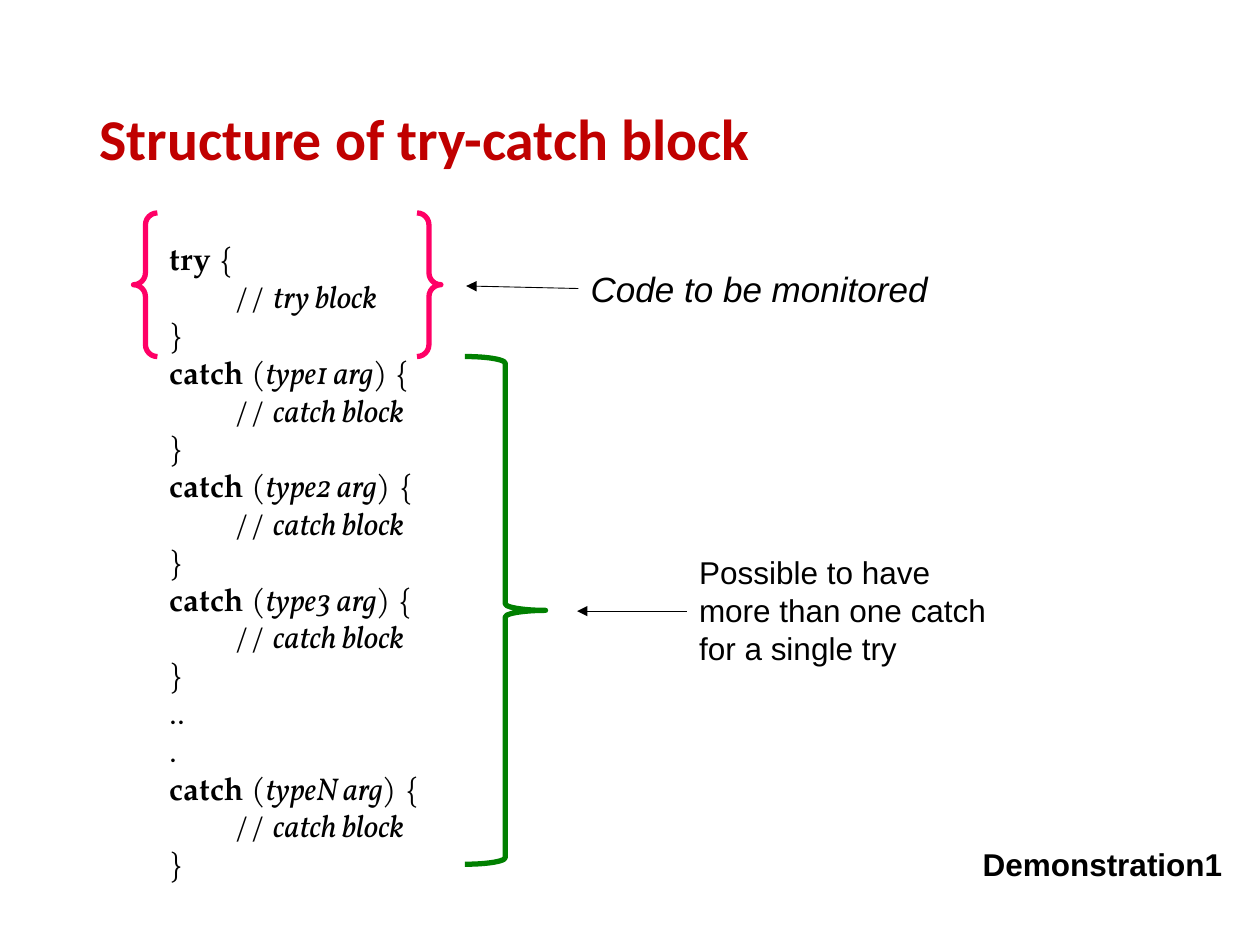
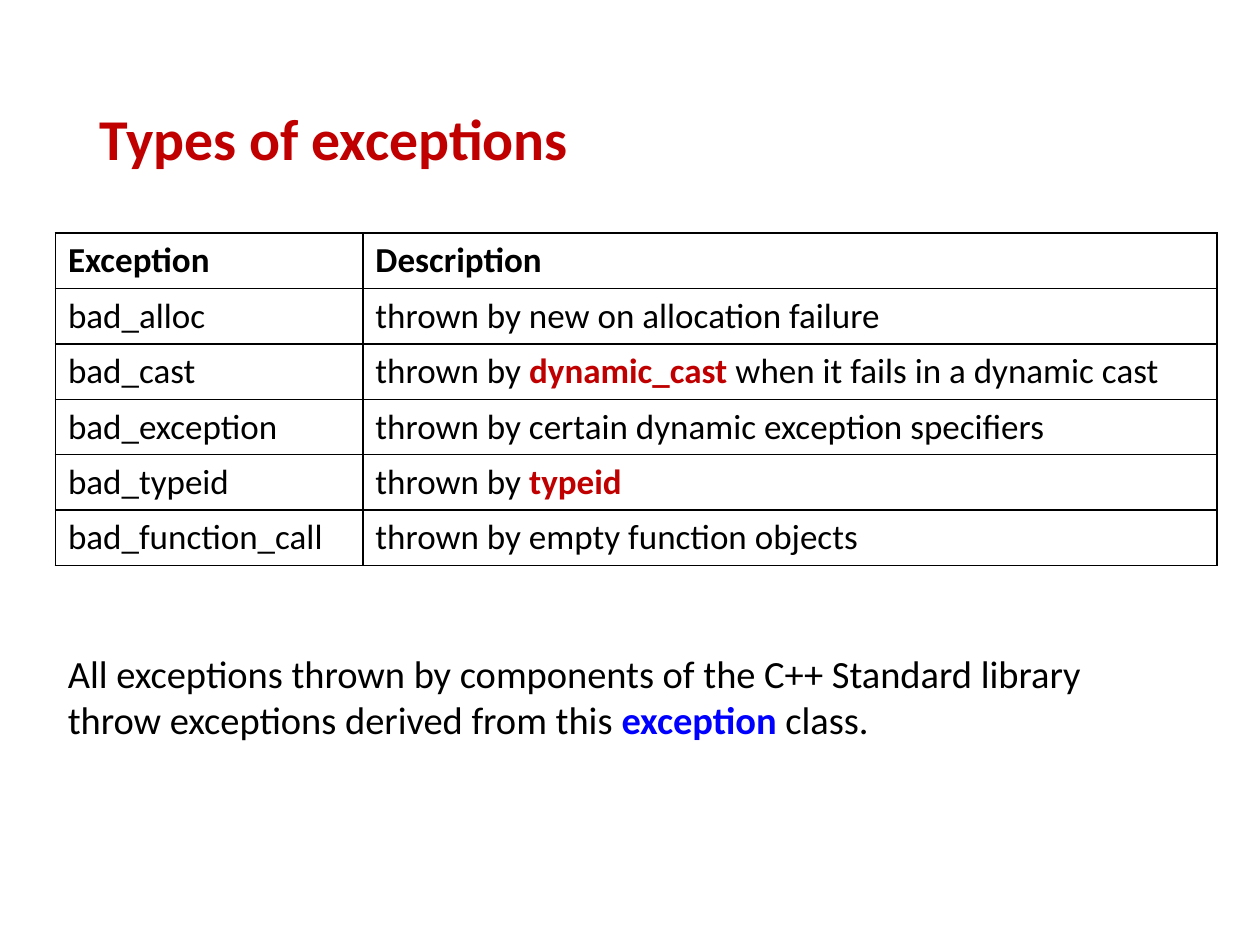
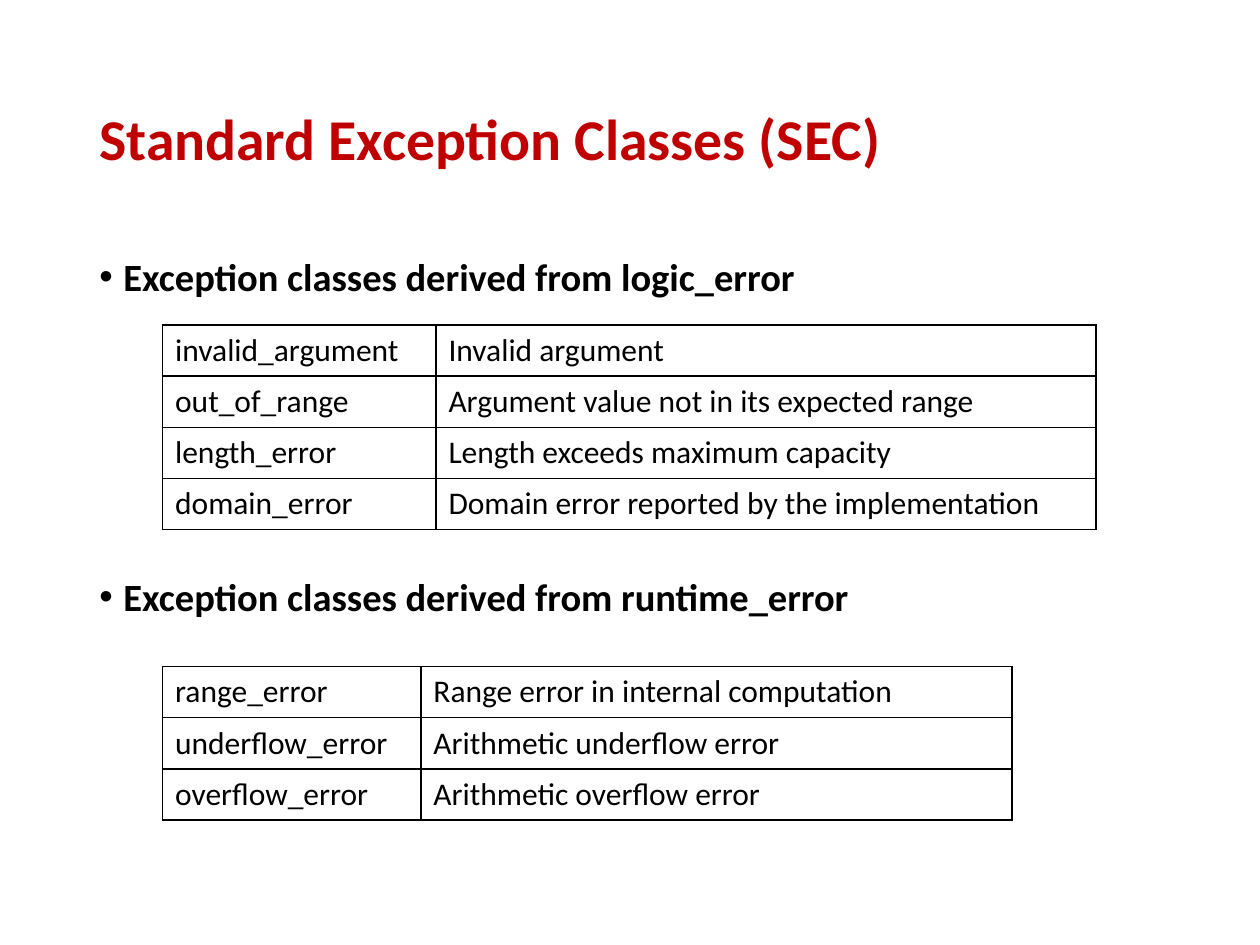
from lxml import etree
from pptx import Presentation
from pptx.dml.color import RGBColor
from pptx.enum.shapes import MSO_CONNECTOR, MSO_SHAPE
from pptx.enum.text import MSO_ANCHOR
from pptx.oxml.ns import qn
from pptx.util import Inches, Pt

STRAIGHT = MSO_CONNECTOR.STRAIGHT
BRACE_PAIR, RIGHT_BRACE = MSO_SHAPE.DOUBLE_BRACE, MSO_SHAPE.RIGHT_BRACE
MIDDLE = MSO_ANCHOR.MIDDLE

BLACK = RGBColor(0x00, 0x00, 0x00)
RED = RGBColor(0xC0, 0x00, 0x00)
BLUE = RGBColor(0x00, 0x00, 0xFF)
PINK = RGBColor(0xFF, 0x00, 0x66)
GREEN = RGBColor(0x00, 0x80, 0x00)

BODY_FONT, NOTE_FONT = "Calibri", "Arial"
CODE_FONT, CODE_ITALIC_FONT = "TeX Gyre Pagella", "Vollkorn"

prs = Presentation()
prs.slide_width, prs.slide_height = Inches(10), Inches(7.5)
COL, ROW = prs.slide_width / 100, prs.slide_height / 75
TITLE_LEFT, TITLE_WIDTH = 6.9, 86.2


def add_text_box(slide, left, top, width, height, wrap=True):
    box = slide.shapes.add_textbox(
        int(left * COL), int(top * ROW), int(width * COL), int(height * ROW))
    box.text_frame.word_wrap = wrap
    return box.text_frame


def write(paragraph, text, size, font=BODY_FONT, bold=False, italic=False,
          color=BLACK, accent=None):
    for index, part in enumerate(text.split("|")):
        run = paragraph.add_run()
        run.text = part
        if index % 2:
            run.font.bold = True
            run.font.color.rgb = accent
    paragraph.font.size = Pt(size)
    paragraph.font.name = font
    paragraph.font.bold = bold
    paragraph.font.italic = italic
    paragraph.font.color.rgb = color


slides = []
for title in ("Structure of try-catch block", "Types of exceptions",
              "Standard Exception Classes (SEC)"):
    slide = prs.slides.add_slide(prs.slide_layouts[6])
    frame = add_text_box(slide, TITLE_LEFT, 4, TITLE_WIDTH, 14.5)
    frame.vertical_anchor = MIDDLE
    frame.paragraphs[0].line_spacing = 0.9
    write(frame.paragraphs[0], title, 33, bold=True, color=RED)
    slides.append(slide)
structure, types, classes = slides

PLAIN, BOLD, ITALIC = (CODE_FONT, False, False), (CODE_FONT, True, False), (CODE_ITALIC_FONT, False, True)
code_lines = [[("try", BOLD), (" {", PLAIN)],
              [("\t// ", PLAIN), ("try block", ITALIC)], [("}", PLAIN)]]
for argument in ("type1 arg", "type2 arg", "type3 arg", "typeN arg"):
    if argument == "typeN arg":
        code_lines += [[("..", PLAIN)], [(".", PLAIN)]]
    code_lines += [
        [("catch", BOLD), (" (", PLAIN), (argument, ITALIC), (") {", PLAIN)],
        [("\t// ", PLAIN), ("catch block", ITALIC)],
        [("}", PLAIN)]]

code = add_text_box(structure, 12.5, 18.5, 50, 52.5)
for index, pieces in enumerate(code_lines):
    line = code.add_paragraph() if index else code.paragraphs[0]
    tabs = etree.SubElement(line._p.get_or_add_pPr(), qn("a:tabLst"))
    etree.SubElement(tabs, qn("a:tab"), pos=str(int(5.15 * COL)), algn="l")
    line.font.size = Pt(18)
    line.font.color.rgb = BLACK
    for text, (font, bold, italic) in pieces:
        run = line.add_run()
        run.text = text
        run.font.name, run.font.bold, run.font.italic = font, bold, italic

for kind, left, top, width, height, color in (
        (BRACE_PAIR, 10.6, 16.9, 24.4, 11.4, PINK),
        (RIGHT_BRACE, 36.9, 28.3, 6.4, 40.3, GREEN)):
    brace = structure.shapes.add_shape(
        kind, int(left * COL), int(top * ROW), int(width * COL), int(height * ROW))
    brace.shadow.inherit = False
    brace.fill.background()
    brace.line.color.rgb = color
    brace.line.width = Pt(3)

for text, left, top, width, height, wrap, size, bold, italic in (
        ("Code to be monitored", 45.9, 20.7, 29, 4.4, False, 20, False, True),
        ("Possible to have more than one catch for a single try",
         54.5, 43.4, 26.3, 10.1, True, 18, False, False),
        ("Demonstration1", 77, 66.6, 21.2, 4, False, 18, True, False)):
    note = add_text_box(structure, left, top, width, height, wrap)
    write(note.paragraphs[0], text, size, NOTE_FONT, bold, italic)

for start_x, start_y, end_x, end_y in ((45.9, 22.9, 37, 22.7), (54.5, 48.5, 45.8, 48.5)):
    arrow = structure.shapes.add_connector(
        STRAIGHT, int(start_x * COL), int(start_y * ROW), int(end_x * COL), int(end_y * ROW))
    arrow.line.color.rgb = BLACK
    arrow.line.width = Pt(0.5)
    etree.SubElement(arrow.line._get_or_add_ln(), qn("a:tailEnd"), type="triangle")
    etree.SubElement(arrow._element.spPr, qn("a:effectLst"))

exception_rows = [
    ("Exception", "Description"),
    ("bad_alloc", "thrown by new on allocation failure"),
    ("bad_cast", "thrown by |dynamic_cast |when it fails in a dynamic cast"),
    ("bad_exception", "thrown by certain dynamic exception specifiers"),
    ("bad_typeid", "thrown by |typeid"),
    ("bad_function_call", "thrown by empty function objects")]
logic_rows = [
    ("invalid_argument", "Invalid argument"),
    ("out_of_range", "Argument value not in its expected range"),
    ("length_error", "Length exceeds maximum capacity"),
    ("domain_error", "Domain error reported by the implementation")]
runtime_rows = [
    ("range_error", "Range error in internal computation"),
    ("underflow_error", "Arithmetic underflow error"),
    ("overflow_error", "Arithmetic overflow error")]

for slide, rows, left, top, widths, row_height, size, has_header in (
        (types, exception_rows, 4.4, 18.5, (24.4, 67.8), 4.4, 20, True),
        (classes, logic_rows, 12.9, 25.8, (21.7, 52.4), 4.06, 18, False),
        (classes, runtime_rows, 12.9, 52.9, (20.5, 46.9), 4.06, 18, False)):
    table = slide.shapes.add_table(
        len(rows), len(widths), int(left * COL), int(top * ROW),
        int(sum(widths) * COL), int(len(rows) * row_height * ROW)).table
    table.first_row = has_header
    table.horz_banding = False
    for column, width in zip(table.columns, widths):
        column.width = int(width * COL)
    for row_index, row in enumerate(rows):
        table.rows[row_index].height = int(row_height * ROW)
        for column_index, text in enumerate(row):
            cell = table.cell(row_index, column_index)
            write(cell.text_frame.paragraphs[0], text, size,
                  bold=has_header and row_index == 0, accent=RED)
            properties = cell._tc.get_or_add_tcPr()
            for side in ("lnL", "lnR", "lnT", "lnB"):
                border = etree.SubElement(properties, qn("a:" + side), w=str(Pt(1)))
                fill = etree.SubElement(border, qn("a:solidFill"))
                etree.SubElement(fill, qn("a:srgbClr"), val=str(BLACK))
            cell.fill.background()

summary = add_text_box(types, 4.4, 51.1, 88.7, 8.4)
write(summary.paragraphs[0],
      "All exceptions thrown by components of the C++ Standard library throw "
      "exceptions derived from this |exception |class.", 22, accent=BLUE)

headings = add_text_box(classes, TITLE_LEFT, 20, TITLE_WIDTH, 47.6)
for index, base in enumerate(("logic_error", "runtime_error")):
    heading = headings.add_paragraph() if index else headings.paragraphs[0]
    heading.line_spacing = 0.9
    if index:
        heading.space_before = Pt(159)
    indent = int(1.9 * COL)
    properties = heading._p.get_or_add_pPr()
    properties.set("marL", str(indent))
    properties.set("indent", str(-indent))
    etree.SubElement(properties, qn("a:buFont"), typeface=NOTE_FONT)
    etree.SubElement(properties, qn("a:buChar"), char="•")
    write(heading, "Exception classes derived from " + base, 22, bold=True)

prs.save("out.pptx")
